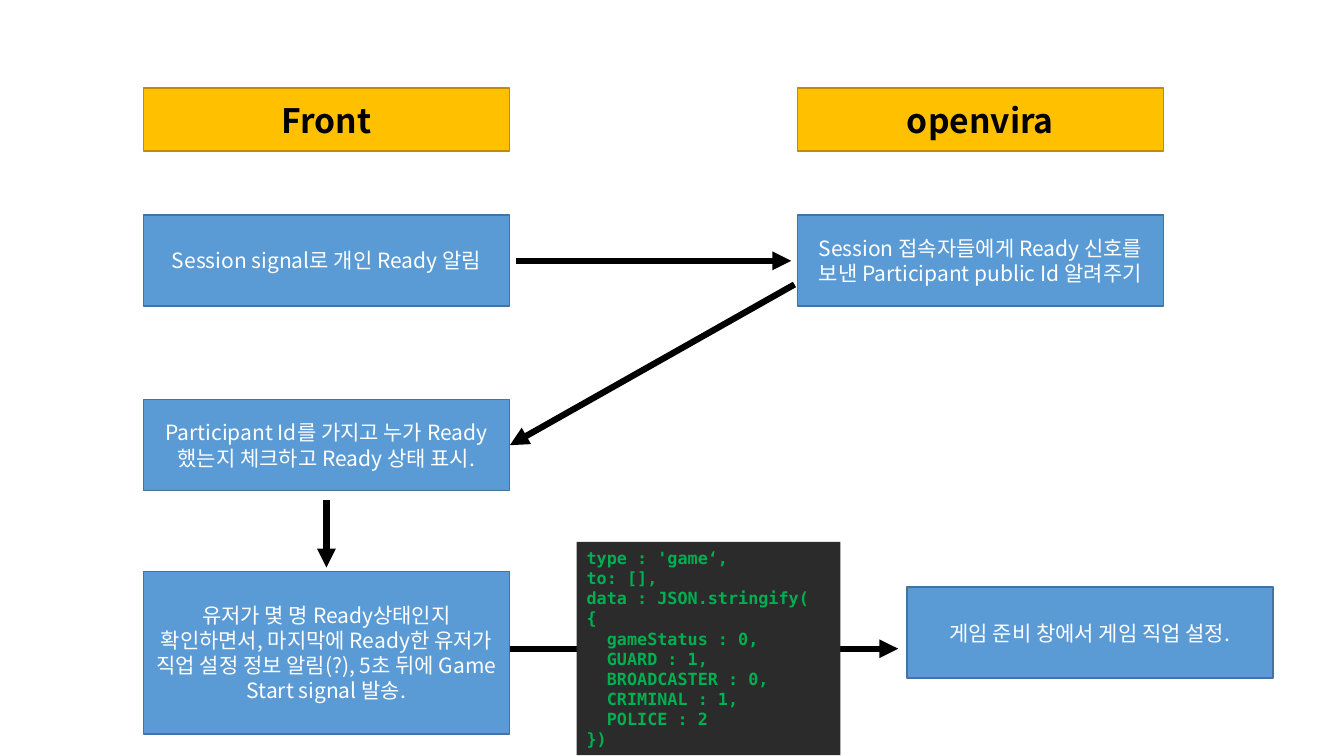
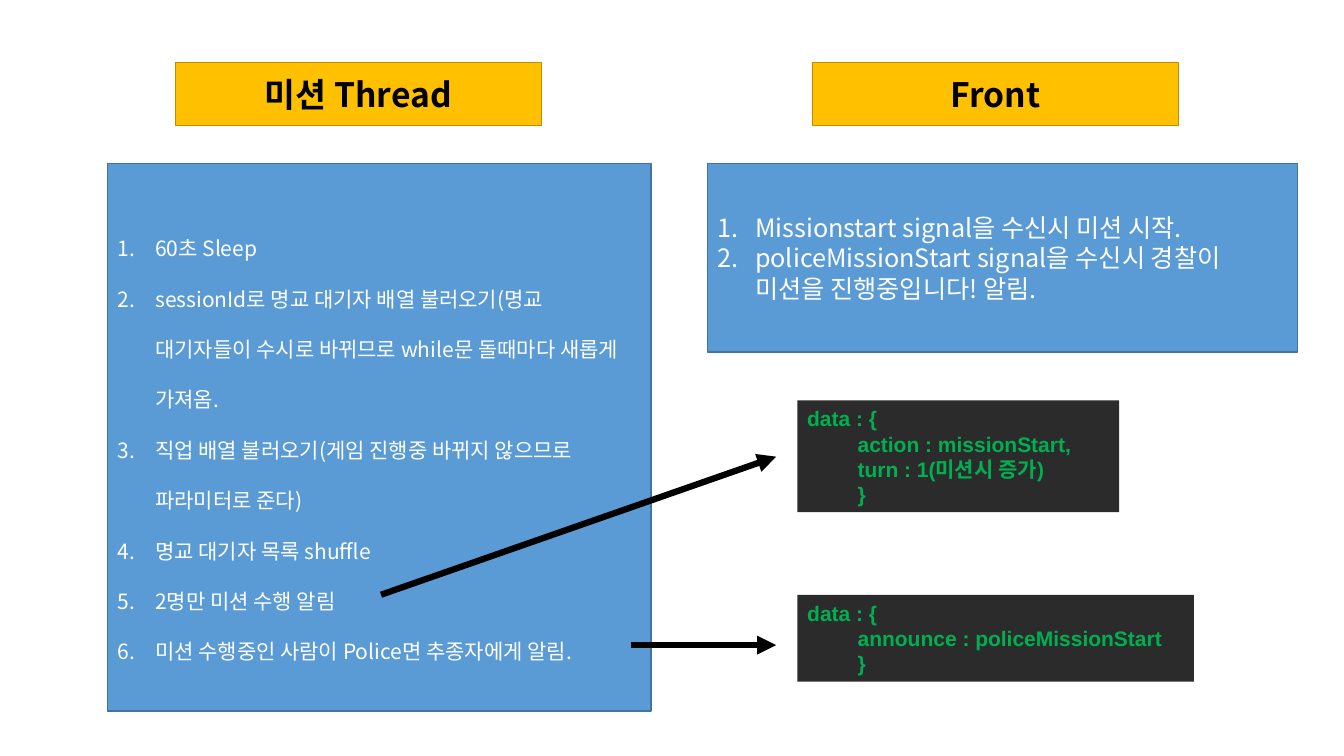
from dataclasses import dataclass
from typing import Optional, Union

from lxml.etree import SubElement
from pptx import Presentation
from pptx.dml.color import RGBColor
from pptx.enum.shapes import MSO_CONNECTOR, MSO_SHAPE
from pptx.enum.text import MSO_ANCHOR, MSO_AUTO_SIZE, PP_ALIGN
from pptx.oxml.ns import qn
from pptx.util import Pt

INK = {
    "gold": "FFC000", "bronze": "BD8E00",
    "blue": "5B9BD5", "navy": "43739E",
    "dark": "2B2B2B", "green": "00B050",
    "black": "000000", "white": "FFFFFF",
}
SANS, MONO, ARIAL = "Noto Sans CJK KR", "DejaVu Sans Mono", "Arial"


@dataclass(frozen=True)
class Style:
    fill: str
    edge: Optional[str]
    ink: str
    size: float
    face: str = SANS
    bold: bool = False
    center: bool = False
    space: float = 1
    number: bool = False
    step: float = 0  # indent of one level
    grow: bool = False


@dataclass(frozen=True)
class Box:
    style: Style
    left: float
    top: float
    width: float
    height: float
    lines: tuple[Union[str, tuple[str, int]], ...]  # text, or text and level


@dataclass(frozen=True)
class Arrow:
    start: tuple[float, float]
    end: tuple[float, float]


HEAD = Style("gold", "bronze", "black", 24, bold=True, center=True)
STEP = Style("blue", "navy", "white", 15, center=True)
TASKS = Style("blue", "navy", "white", 15, space=2, number=True)
NOTES = Style("blue", "navy", "white", 18, number=True)
CODE = Style("dark", None, "green", 12, MONO, bold=True, step=14.45, grow=True)
DATA = Style("dark", None, "green", 15, ARIAL, bold=True, step=36, grow=True)
HANG = 27


def color(name: str) -> RGBColor:
    return RGBColor.from_string(INK[name])


def draw_box(slide, box: Box) -> None:
    style = box.style
    shape = slide.shapes.add_shape(
        MSO_SHAPE.RECTANGLE, Pt(box.left), Pt(box.top), Pt(box.width), Pt(box.height))
    shape.shadow.inherit = False
    shape.fill.solid()
    shape.fill.fore_color.rgb = color(style.fill)
    if style.edge:
        shape.line.color.rgb = color(style.edge)
        shape.line.width = Pt(1)
    else:
        shape.line.fill.background()
    frame = shape.text_frame
    frame.word_wrap = True
    frame.vertical_anchor = MSO_ANCHOR.MIDDLE
    if style.grow:
        frame.auto_size = MSO_AUTO_SIZE.SHAPE_TO_FIT_TEXT
    for i, line in enumerate(box.lines):
        text, level = (line, 0) if isinstance(line, str) else line
        para = frame.paragraphs[0] if i == 0 else frame.add_paragraph()
        para.alignment = PP_ALIGN.CENTER if style.center else PP_ALIGN.LEFT
        para.line_spacing = style.space
        props = para._p.get_or_add_pPr()
        if style.number:
            props.set("marL", str(Pt(HANG)))
            props.set("indent", str(-Pt(HANG)))
            SubElement(props, qn("a:buFont"), typeface="+mj-lt")
            SubElement(props, qn("a:buAutoNum"), type="arabicPeriod")
        elif level:
            props.set("marL", str(Pt(level * style.step)))
            props.set("indent", "0")
        run = para.add_run()
        run.text = text
        font = run.font
        font.size, font.bold = Pt(style.size), style.bold
        font.color.rgb = color(style.ink)
        font.name = style.face
        SubElement(run._r.get_or_add_rPr(), qn("a:ea"), typeface=SANS)


def draw_arrow(slide, arrow: Arrow) -> None:
    ends = [Pt(n) for n in (*arrow.start, *arrow.end)]
    link = slide.shapes.add_connector(MSO_CONNECTOR.STRAIGHT, *ends)
    link.line.color.rgb = color("black")
    link.line.width = Pt(4.5)
    SubElement(link.line._get_or_add_ln(), qn("a:tailEnd"), type="triangle")
    SubElement(link._element.spPr, qn("a:effectLst"))


# Shared sizes and columns
WIDE, HIGH, BAND = 261.5, 65, 45
LEFT, RIGHT = 102.4, 569.5


def head(left: float, top: float, text: str) -> Box:
    return Box(HEAD, left, top, WIDE, BAND, (text,))


def step(left: float, top: float, text: str, high: float = HIGH) -> Box:
    return Box(STEP, left, top, WIDE, high, (text,))


# Ready signal flow
ready = (
    head(LEFT, 63, "Front"),
    head(RIGHT, 63, "openvira"),
    step(LEFT, 153.5, "Session signal로 개인 Ready 알림"),
    Arrow((368.6, 186.3), (565.2, 186.3)),
    step(RIGHT, 153.5, "Session 접속자들에게 Ready 신호를 보낸 Participant public Id 알려주기"),
    Arrow((567.5, 203.2), (364.2, 318)),
    step(LEFT, 285.4, "Participant Id를 가지고 누가 Ready 했는지 체크하고 Ready 상태 표시."),
    Arrow((233.2, 357.1), (233.2, 405.4)),
    step(LEFT, 408.3, "유저가 몇 명 Ready상태인지 확인하면서, 마지막에 Ready한 유저가 "
         "직업 설정 정보 알림(?), 5초 뒤에 Game Start signal 발송.", 116),
    Arrow((364.2, 463.4), (641.6, 463.4)),
    step(647.8, 419.4, "게임 준비 창에서 게임 직업 설정."),
    Box(CODE, 412, 387, 188.4, 152.5, (
        "type : 'game‘,", "to: [],", "data : JSON.stringify(", "{",
        ("gameStatus : 0,", 1), ("GUARD : 1,", 1), ("BROADCASTER : 0,", 1),
        ("CRIMINAL : 1,", 1), ("POLICE : 2", 1), "})")),
)

# Mission thread
mission = (
    head(125.2, 44.5, "미션 Thread"),
    Box(TASKS, 76.8, 116.8, 388.4, 391.2, (
        "60초 Sleep",
        "sessionId로 명교 대기자 배열 불러오기(명교 대기자들이 수시로 바뀌므로 "
        "while문 돌때마다 새롭게 가져옴.",
        "직업 배열 불러오기(게임 진행중 바뀌지 않으므로 파라미터로 준다)",
        "명교 대기자 목록 shuffle",
        "2명만 미션 수행 알림",
        "미션 수행중인 사람이 Police면 추종자에게 알림.")),
    Box(DATA, RIGHT, 286, 230, 79.8, (
        "data : {", ("action : missionStart,", 1), ("turn : 1(미션시 증가)", 1), ("}", 1))),
    Box(DATA, RIGHT, 425, 283.2, 62, (
        "data : {", ("announce : policeMissionStart", 1), ("}", 1))),
    Arrow((272.2, 424.8), (554.4, 326.2)),
    Arrow((450.7, 460.8), (554.4, 460.8)),
    Box(NOTES, 505.3, 116.8, 421.4, 134.7, (
        "Missionstart signal을 수신시 미션 시작.",
        "policeMissionStart signal을 수신시 경찰이 미션을 진행중입니다! 알림.")),
    head(580.3, 44.5, "Front"),
)

# Build the deck
deck = Presentation()
deck.slide_width, deck.slide_height = Pt(960), Pt(540)
for parts in (ready, mission):
    slide = deck.slides.add_slide(deck.slide_layouts[6])
    for part in parts:
        if isinstance(part, Box):
            draw_box(slide, part)
        else:
            draw_arrow(slide, part)
deck.save("out.pptx")
